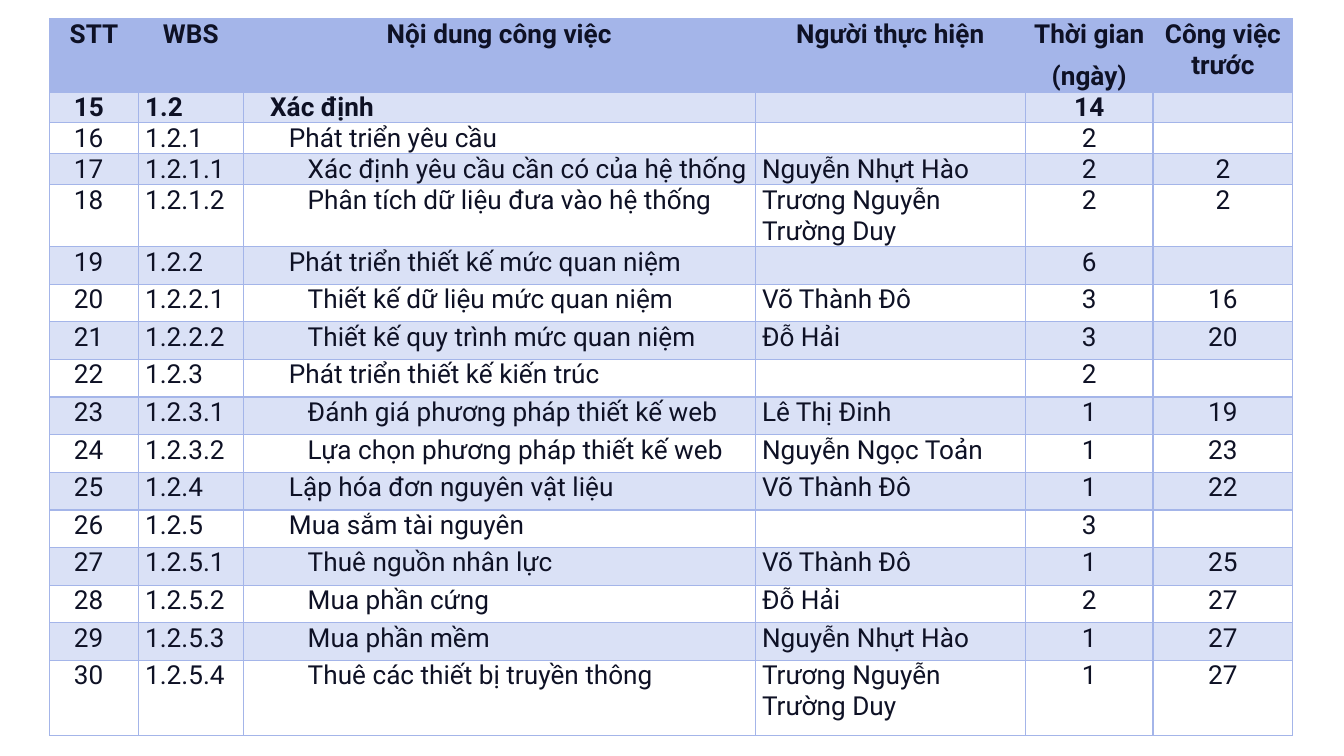
from lxml.etree import SubElement
from pptx import Presentation
from pptx.dml.color import RGBColor
from pptx.enum.text import PP_ALIGN
from pptx.oxml.ns import qn
from pptx.util import Inches, Pt

BLUE = "A4B5E9"
WHITE = "FFFFFF"
INK = "0E1125"
FONT_SIZE = 14
FIRST_NUMBER = 15
NO_STYLE = "{2D5ABB26-0587-4C30-8999-92F81FD0307C}"

COLUMN_WIDTHS = [0.66, 0.78, 3.81, 2.01, 0.95, 1.04]
ROW_HEIGHTS = [0.5] + [0.21] * 3 + [0.42] + [0.28] * 11 + [0.56]
HEADERS = ["STT", "WBS", "Nội dung công việc", "Người thực hiện",
           "Thời gian\n(ngày)", "Công việc trước"]
TASKS = [
    ("1.2", "Xác định", "", "14", ""),
    ("1.2.1", "Phát triển yêu cầu", "", "2", ""),
    ("1.2.1.1", "Xác định yêu cầu cần có của hệ thống", "Nguyễn Nhựt Hào", "2", "2"),
    ("1.2.1.2", "Phân tích dữ liệu đưa vào hệ thống", "Trương Nguyễn Trường Duy", "2", "2"),
    ("1.2.2", "Phát triển thiết kế mức quan niệm", "", "6", ""),
    ("1.2.2.1", "Thiết kế dữ liệu mức quan niệm", "Võ Thành Đô", "3", "16"),
    ("1.2.2.2", "Thiết kế quy trình mức quan niệm", "Đỗ Hải", "3", "20"),
    ("1.2.3", "Phát triển thiết kế kiến trúc", "", "2", ""),
    ("1.2.3.1", "Đánh giá phương pháp thiết kế web", "Lê Thị Đinh", "1", "19"),
    ("1.2.3.2", "Lựa chọn phương pháp thiết kế web", "Nguyễn Ngọc Toản", "1", "23"),
    ("1.2.4", "Lập hóa đơn nguyên vật liệu", "Võ Thành Đô", "1", "22"),
    ("1.2.5", "Mua sắm tài nguyên", "", "3", ""),
    ("1.2.5.1", "Thuê nguồn nhân lực", "Võ Thành Đô", "1", "25"),
    ("1.2.5.2", "Mua phần cứng", "Đỗ Hải", "2", "27"),
    ("1.2.5.3", "Mua phần mềm", "Nguyễn Nhựt Hào", "1", "27"),
    ("1.2.5.4", "Thuê các thiết bị truyền thông", "Trương Nguyễn Trường Duy", "1", "27"),
]


def color(value):
    """Return the colour for a hex string."""
    return RGBColor.from_string(value)


def set_borders(cell, borders):
    """Draw the given sides (L, R, T, B, in that order) of a cell."""
    properties = cell._tc.get_or_add_tcPr()
    for side, value in borders.items():
        line = SubElement(properties, qn(f"a:ln{side}"), w=str(Pt(0.75)))
        fill = SubElement(line, qn("a:solidFill"))
        SubElement(fill, qn("a:srgbClr"), val=value)


def set_fill(cell, value=None, opacity=100):
    """Fill a cell with a colour of some opacity, or leave it clear."""
    if value is None:
        cell.fill.background()
        return
    cell.fill.solid()
    cell.fill.fore_color.rgb = color(value)
    if opacity < 100:
        swatch = cell._tc.tcPr.find(f"{qn('a:solidFill')}/{qn('a:srgbClr')}")
        SubElement(swatch, qn("a:alpha"), val=str(opacity * 1000))


def write_cell(cell, text, alignment, bold=False, margin=0, indent=0):
    """Write text into a cell, one paragraph a line."""
    cell.margin_left = cell.margin_right = Inches(0.05)
    cell.margin_top = cell.margin_bottom = 0
    cell.text = text
    for index, paragraph in enumerate(cell.text_frame.paragraphs):
        paragraph.alignment = alignment
        paragraph.font.name = "Roboto"
        paragraph.font.size = Pt(FONT_SIZE)
        paragraph.font.bold = bold
        paragraph.font.color.rgb = color(INK)
        if index:
            paragraph.space_before = Pt(6)
        properties = paragraph._p.get_or_add_pPr()
        properties.set("marL", str(Inches(margin)))
        properties.set("indent", str(Inches(indent)))
        if not text:
            SubElement(paragraph._p, qn("a:endParaRPr"), sz=str(FONT_SIZE * 100))


def add_plain_table(slide):
    """Add the unstyled table with its column widths and row heights."""
    frame = slide.shapes.add_table(
        len(ROW_HEIGHTS), len(COLUMN_WIDTHS), Inches(0.37), Inches(0.14),
        Inches(sum(COLUMN_WIDTHS)), Inches(sum(ROW_HEIGHTS)))
    table = frame.table
    table.first_row = table.horz_banding = False
    table._tbl.tblPr.find(qn("a:tableStyleId")).text = NO_STYLE
    for column, width in zip(table.columns, COLUMN_WIDTHS):
        column.width = Inches(width)
    for row, height in zip(table.rows, ROW_HEIGHTS):
        row.height = Inches(height)
    return table


def fill_header(row):
    """Write the header row."""
    last = len(HEADERS) - 1
    for index, (cell, text) in enumerate(zip(row.cells, HEADERS)):
        write_cell(cell, text, PP_ALIGN.CENTER, bold=True)
        borders = {"L": BLUE} if index == 0 else {"R": BLUE} if index == last else {}
        set_borders(cell, {**borders, "T": BLUE, "B": WHITE})
        set_fill(cell, BLUE)


def fill_task(row, number, task, shaded):
    """Write one task row, indenting its name by its WBS level."""
    level = task[0].count(".")
    for index, (cell, text) in enumerate(zip(row.cells, (str(number), *task))):
        write_cell(cell, text,
                   PP_ALIGN.CENTER if index > 3 else PP_ALIGN.LEFT,
                   bold=level == 1,
                   margin=0.01 + 0.14 * level if index == 2 else 0,
                   indent=0.13 if index == 0 else 0)
        set_borders(cell, dict.fromkeys("LRTB", BLUE))
        set_fill(cell, BLUE if shaded else None, 40)


def main():
    """Build the work schedule slide."""
    presentation = Presentation()
    presentation.slide_width = Inches(10)
    presentation.slide_height = Inches(10) * 9 // 16
    slide = presentation.slides.add_slide(presentation.slide_layouts[6])
    table = add_plain_table(slide)
    fill_header(table.rows[0])
    for index, task in enumerate(TASKS):
        fill_task(table.rows[index + 1], FIRST_NUMBER + index, task, index % 2 == 0)
    presentation.save("out.pptx")


if __name__ == "__main__":
    main()
